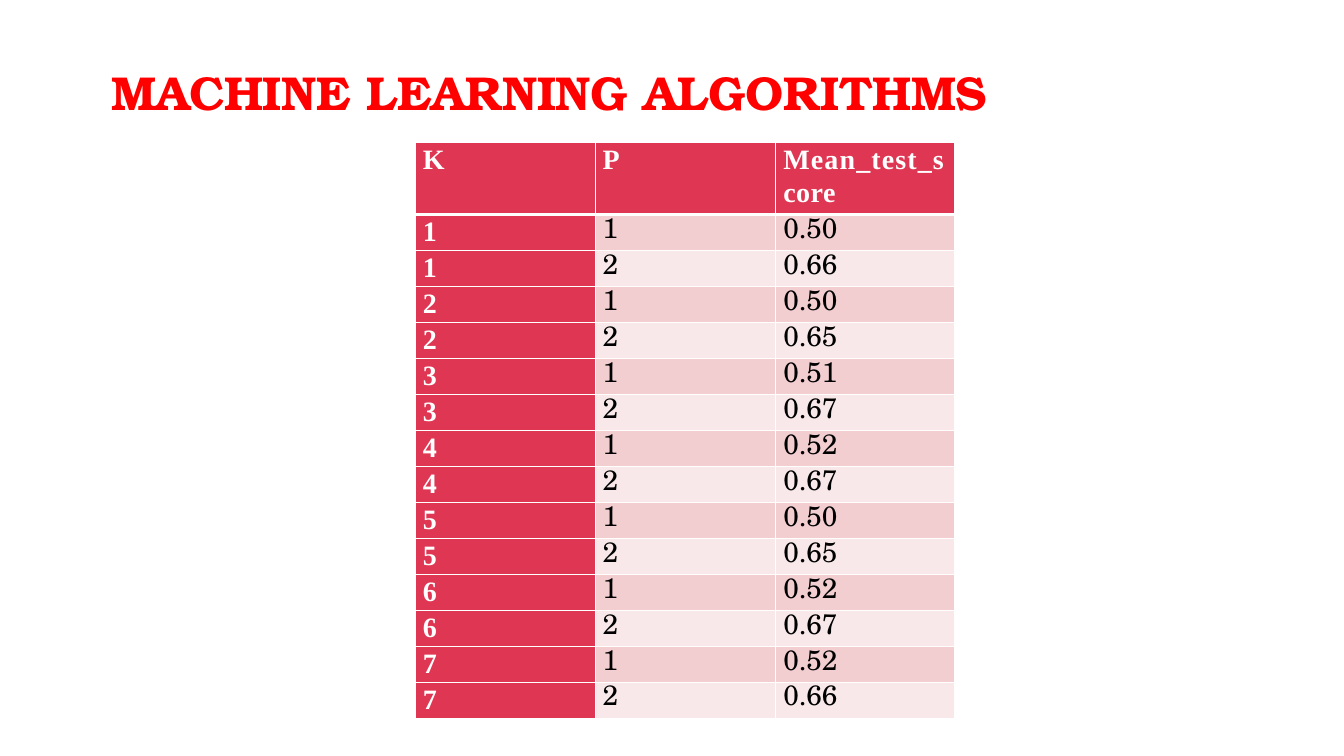
from dataclasses import dataclass

from lxml.etree import SubElement
from pptx import Presentation
from pptx.dml.color import RGBColor as Color
from pptx.enum.text import MSO_ANCHOR as Anchor, MSO_AUTO_SIZE as AutoSize, PP_ALIGN as Align
from pptx.oxml.ns import qn
from pptx.util import Inches, Pt


@dataclass(frozen=True)
class Theme:
    title_color: str = "FF0000"
    accent: str = "DF3753"
    bands: tuple = ("F3CED1", "F8E8E9")
    white: str = "FFFFFF"
    black: str = "000000"
    title_font: str = "TeX Gyre Bonum"
    head_font: str = "Times New Roman"
    body_font: str = "TeX Gyre Schola"
    title_size: float = 34
    table_size: float = 20
    line_height: float = 23.4
    thin: float = 1
    thick: float = 3


def apply(target, **values):
    for name, value in values.items():
        setattr(target, name, value)


class SlideBuilder:
    COLUMNS, ROWS = 15, 21

    def __init__(self, presentation, theme):
        self.theme = theme
        self.column = presentation.slide_width / self.COLUMNS
        self.row = presentation.slide_height / self.ROWS
        self.slide = presentation.slides.add_slide(presentation.slide_layouts[5])

    def box(self, left, top, width, height):
        return {"left": round(left * self.column), "top": round(top * self.row),
                "width": round(width * self.column), "height": round(height * self.row)}

    def add_text(self, paragraph, text, font, size, color, bold, spacing=0, indent=0, **layout):
        apply(paragraph, alignment=Align.LEFT, **layout)
        paragraph._p.get_or_add_pPr().set("marL", str(Inches(indent)))
        run = paragraph.add_run()
        run.text = text
        apply(run.font, name=font, size=Pt(size), bold=bold)
        run.font.color.rgb = Color.from_string(color)
        run._r.get_or_add_rPr().set("spc", str(round(spacing * 100)))

    def title(self, text, *place):
        theme, shape = self.theme, self.slide.shapes.title
        apply(shape, **self.box(*place))
        apply(shape.text_frame, margin_left=0, margin_right=0, margin_top=Inches(0.01),
              margin_bottom=0, word_wrap=True, vertical_anchor=Anchor.TOP,
              auto_size=AutoSize.SHAPE_TO_FIT_TEXT)
        self.add_text(shape.text_frame.paragraphs[0], text, theme.title_font, theme.title_size,
                      theme.title_color, True, -0.1, 0.01, space_before=Pt(0.9))

    def borders(self, cell, widths):
        properties = cell._tc.get_or_add_tcPr()
        for side, width in widths.items():
            line = SubElement(properties, qn(f"a:ln{side}"), w=str(Pt(width)))
            fill = SubElement(line, qn("a:solidFill"))
            SubElement(fill, qn("a:srgbClr"), val=self.theme.white)

    def cell(self, cell, lines, row, column):
        theme = self.theme
        header, accented = row == 0, row == 0 or column == 0
        apply(cell, margin_left=0, margin_right=0, margin_top=0, margin_bottom=0)
        self.borders(cell, {"L": theme.thin, "R": theme.thin,
                            "T": theme.thick if row == 1 else theme.thin,
                            "B": theme.thick if header else theme.thin})
        cell.fill.solid()
        fill = theme.accent if accented else theme.bands[(row - 1) % 2]
        cell.fill.fore_color.rgb = Color.from_string(fill)
        frame = cell.text_frame
        for index, (text, spacing) in enumerate(lines):
            paragraph = frame.add_paragraph() if index else frame.paragraphs[0]
            layout = {"space_before": Pt(1.6)} if index else {"line_spacing": Pt(theme.line_height)}
            self.add_text(paragraph, text, theme.head_font if accented else theme.body_font,
                          theme.table_size, theme.white if accented else theme.black,
                          accented, spacing, 0.08 if column == 2 else 0.07, **layout)

    def table(self, records, header_rows, *place):
        frame = self.slide.shapes.add_table(len(records), len(records[0]),
                                            **self.box(*place))
        table = frame.table
        apply(table, first_row=True, first_col=True, horz_banding=True)
        for row, record in enumerate(records):
            table.rows[row].height = round(self.row * (1 if row else header_rows))
            for column, lines in enumerate(record):
                self.cell(table.cell(row, column), lines, row, column)


presentation = Presentation()
apply(presentation, slide_width=Inches(13.33), slide_height=Inches(7.5))
builder = SlideBuilder(presentation, Theme())

# Title
builder.title("MACHINE LEARNING ALGORITHMS", 1.23, 1.71, 9.87, 1.65)

# Mean test score for each K, with P alternating between 1 and 2
scores = ["0.50", "0.66", "0.50", "0.65", "0.51", "0.67", "0.52",
          "0.67", "0.50", "0.65", "0.52", "0.67", "0.52", "0.66"]
header = [[("K", 0)], [("P", 0)], [("Mean_test_s", 0.8), ("core", 0.3)]]
records = [header] + [
    [[(str(index // 2 + 1), 0)], [(str(index % 2 + 1), 0)], [(score, -0.1)]]
    for index, score in enumerate(scores)]
builder.table(records, 2, 4.64, 3.96, 6.02, 16)

presentation.save("out.pptx")
